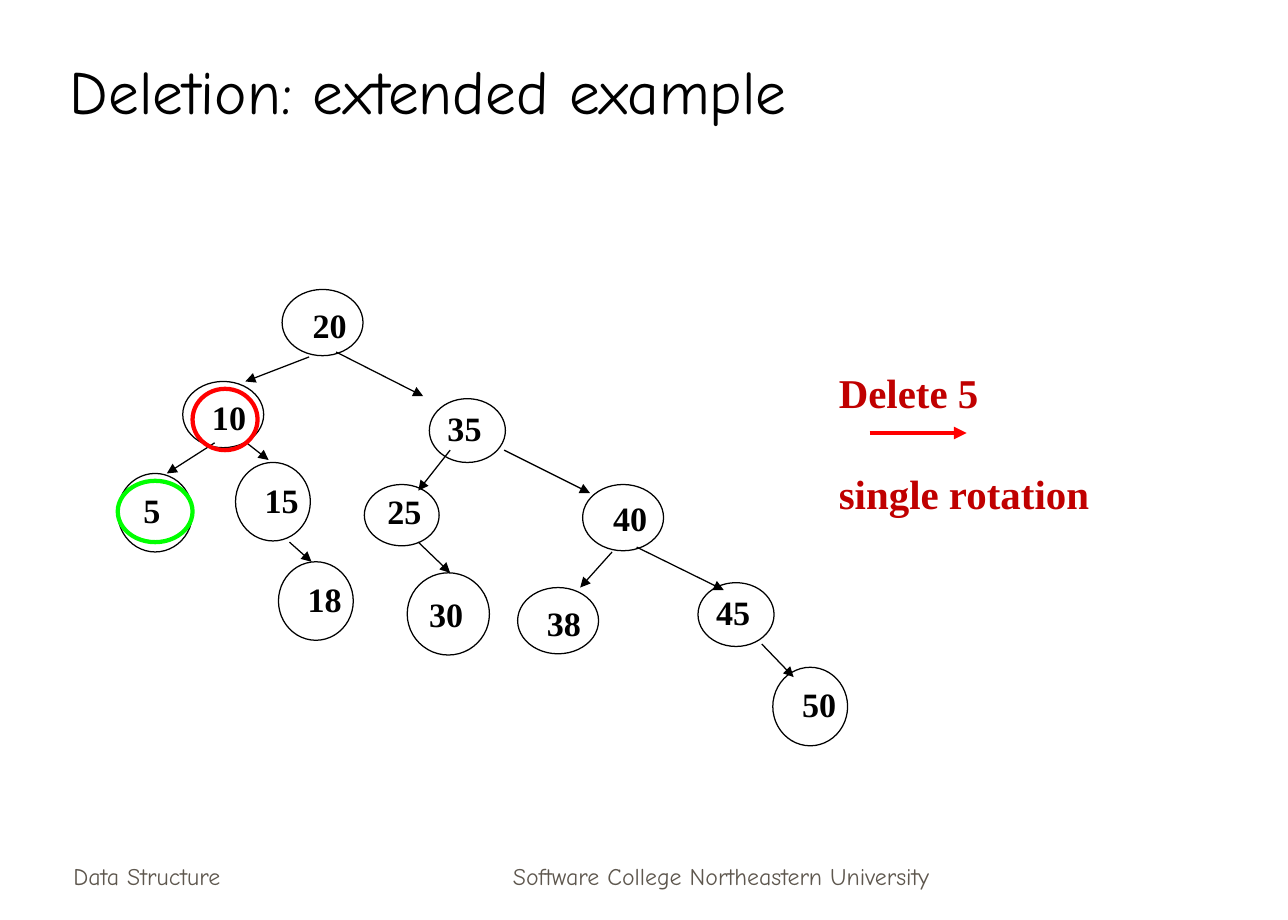
from lxml import etree
from pptx import Presentation
from pptx import util as u
from pptx.dml import color
from pptx.enum import shapes, text
from pptx.oxml.ns import qn

BLACK, GREY, RED, GREEN, DARK_RED = "000000", "5E574E", "FF0000", "00FF00", "C00000"
HEADING = {"name": "Comic Neue", "size": u.Pt(36)}
FOOTER = {"name": "Comic Neue", "size": u.Pt(14)}
KEY = {"name": "Times New Roman", "size": u.Pt(20), "bold": True}
CAPTION = {"name": "Times New Roman", "size": u.Pt(24), "bold": True}

# Node key: left, top, width, height, then label offset within the node
NODES = {
    "20": (1.34, 0, 0.66, 0.54, 0.15, 0.07),
    "10": (0.53, 0.75, 0.66, 0.54, 0.14, 0.07),
    "35": (2.54, 0.89, 0.62, 0.52, 0.05, 0.02),
    "5": (0, 1.5, 0.61, 0.64, 0.11, 0.08),
    "15": (0.96, 1.41, 0.61, 0.64, 0.14, 0.09),
    "25": (2.01, 1.59, 0.61, 0.5, 0.09, 0),
    "40": (3.79, 1.59, 0.66, 0.54, 0.15, 0.06),
    "18": (1.31, 2.22, 0.61, 0.64, 0.14, 0.09),
    "30": (2.36, 2.31, 0.67, 0.67, 0.08, 0.12),
    "38": (3.26, 2.43, 0.66, 0.54, 0.14, 0.07),
    "45": (4.73, 2.39, 0.62, 0.52, 0.05, 0.02),
    "50": (5.34, 3.08, 0.61, 0.64, 0.14, 0.08),
}
# Parent-to-child arrows: start x, start y, end x, end y
EDGES = [
    (1.56, 0.55, 1.04, 0.75),  # 20 to 10
    (1.78, 0.51, 2.49, 0.87),  # 20 to 35
    (0.79, 1.25, 0.40, 1.50),  # 10 to 5
    (1.05, 1.25, 1.23, 1.39),  # 10 to 15
    (1.40, 2.06, 1.58, 2.22),  # 15 to 18
    (2.71, 1.31, 2.45, 1.64),  # 35 to 25
    (3.15, 1.31, 3.85, 1.66),  # 35 to 40
    (2.45, 2.06, 2.71, 2.31),  # 25 to 30
    (4.03, 2.14, 3.77, 2.43),  # 40 to 38
    (4.23, 2.10, 4.94, 2.45),  # 40 to 45
    (5.25, 2.89, 5.51, 3.16),  # 45 to 50
]
# Rings around the unbalanced node and the deleted node
RINGS = [(0.61, 0.81, 0.53, 0.5, RED), (0, 1.56, 0.61, 0.5, GREEN)]


def rgb(value):
    return color.RGBColor.from_string(value)


def inches(*values):
    return [u.Inches(value) for value in values]


def write(frame, words, font_format, hex_color, align=text.PP_ALIGN.LEFT,
          anchor=text.MSO_ANCHOR.TOP, wrap=True):
    frame.word_wrap, frame.vertical_anchor = wrap, anchor
    frame.auto_size = text.MSO_AUTO_SIZE.NONE
    paragraph = frame.paragraphs[0]
    paragraph.alignment = align
    run = paragraph.add_run()
    run.text = words
    for name, value in font_format.items():
        setattr(run.font, name, value)
    run.font.color.rgb = rgb(hex_color)


def add_label(parts, box, words, font_format, hex_color, **layout):
    write(parts.add_textbox(*inches(*box)).text_frame, words, font_format, hex_color, **layout)


def add_ellipse(parts, box, hex_color, width):
    ellipse = parts.add_shape(shapes.MSO_SHAPE.OVAL, *inches(*box))
    ellipse.shadow.inherit = False
    ellipse.fill.background()
    ellipse.line.color.rgb, ellipse.line.width = rgb(hex_color), u.Pt(width)


def add_arrow(parts, ends, hex_color, width):
    arrow = parts.add_connector(shapes.MSO_CONNECTOR.STRAIGHT, *inches(*ends))
    arrow.line.color.rgb, arrow.line.width = rgb(hex_color), u.Pt(width)
    etree.SubElement(arrow.line._get_or_add_ln(), qn("a:tailEnd"), type="triangle")
    etree.SubElement(arrow._element.spPr, qn("a:effectLst"))


def add_title(slide, left, top, width, height):
    title = slide.shapes.title
    title.left, title.top, title.width, title.height = inches(left, top, width, height)
    write(title.text_frame, "Deletion: extended example", HEADING, BLACK,
          anchor=text.MSO_ANCHOR.BOTTOM)


def add_tree(slide, left, top):
    tree = slide.shapes.add_group_shape().shapes
    for x, y, width, height, label_x, label_y in NODES.values():
        add_ellipse(tree, (left + x, top + y, width, height), BLACK, 0.75)
    for x1, y1, x2, y2 in EDGES:
        add_arrow(tree, (left + x1, top + y1, left + x2, top + y2), BLACK, 0.75)
    for key, (x, y, width, height, label_x, label_y) in NODES.items():
        add_label(tree, (left + x + label_x, top + y + label_y, 0.56, 0.44), key, KEY, BLACK)
    for x, y, width, height, hex_color in RINGS:
        add_ellipse(slide.shapes, (left + x, top + y, width, height), hex_color, 2.5)


def add_operation(slide, left, top):
    parts = slide.shapes
    add_label(parts, (left, top, 1.34, 0.5), "Delete 5", CAPTION, DARK_RED, wrap=False)
    add_arrow(parts, (left + 0.35, top + 0.58, left + 1.14, top + 0.58), RED, 2.5)
    add_label(parts, (left, top + 0.82, 2.24, 0.5), "single rotation", CAPTION, DARK_RED,
              wrap=False)


def add_footer(slide, left, top, height):
    bottom = text.MSO_ANCHOR.BOTTOM
    add_label(slide.shapes, (left, top, 2.19, height), "Data Structure", FOOTER, GREY,
              anchor=bottom)
    add_label(slide.shapes, (left + 3.09, top, 4.58, height),
              "Software College Northeastern University", FOOTER, GREY,
              align=text.PP_ALIGN.CENTER, anchor=bottom)


def main():
    presentation = Presentation()
    presentation.slide_width, presentation.slide_height = inches(10.5, 7.5)
    slide = presentation.slides.add_slide(presentation.slide_layouts[5])
    add_title(slide, 0.47, 0.25, 8.93, 0.83)
    add_tree(slide, 0.96, 2.36)
    add_operation(slide, 6.74, 2.95)
    add_footer(slide, 0.5, 6.81, 0.5)
    presentation.save("out.pptx")


if __name__ == "__main__":
    main()
